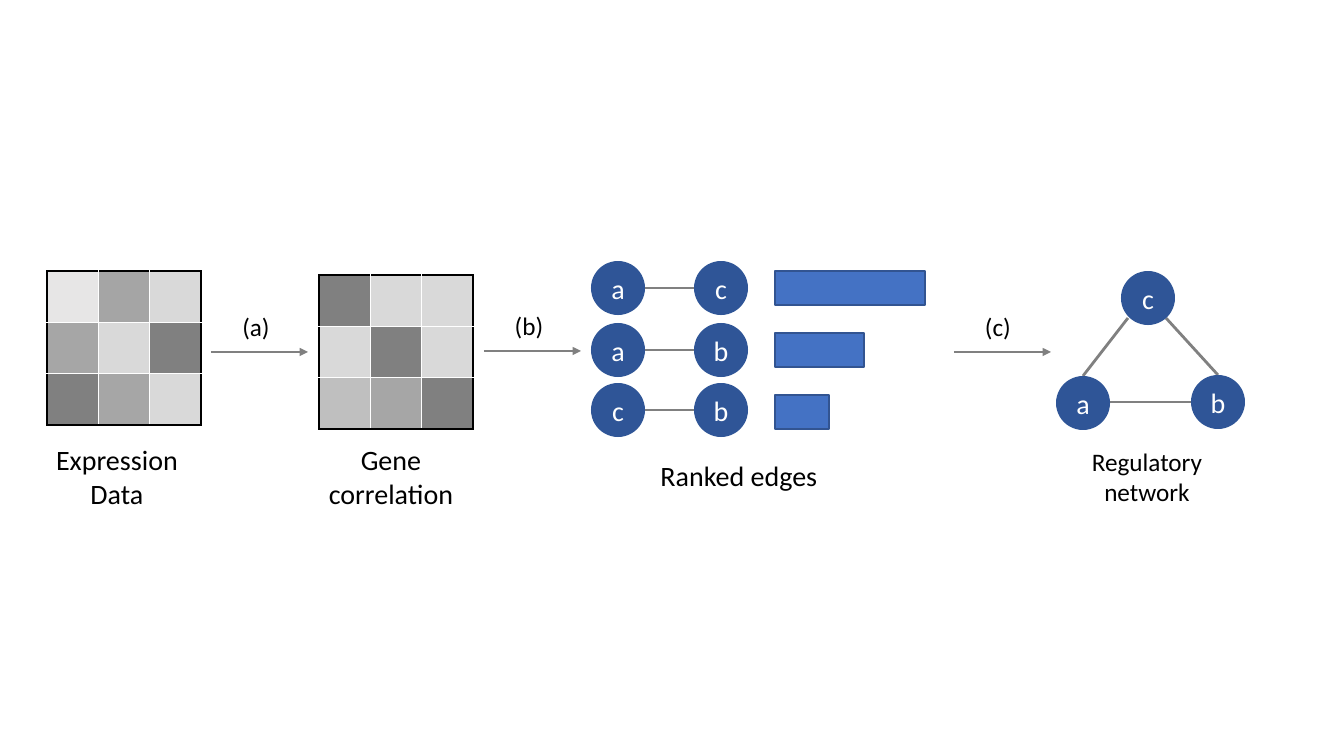
"""Builds a slide on the steps from expression data to a regulatory network."""
import dataclasses

import pptx
import pptx.dml.color
import pptx.enum.shapes
import pptx.enum.text
import pptx.oxml
import pptx.oxml.ns
import pptx.util

SCALE = 914400 / 100.8
NS = pptx.oxml.ns.nsdecls("a")
SHAPE = pptx.enum.shapes.MSO_SHAPE


def px(n):
    return pptx.util.Emu(round(n * SCALE))


def rgb(color):
    return pptx.dml.color.RGBColor.from_string(color)


@dataclasses.dataclass(frozen=True)
class Theme:
    font: str = "Calibri"
    large: int = 20
    small: int = 18
    text: str = "000000"
    light: str = "FFFFFF"
    node: str = "2F5597"
    bar: str = "4472C4"
    bar_line: str = "325491"
    edge: str = "808080"


class Sketch:
    def __init__(self, slide, theme):
        self.s = slide
        self.theme = theme

    def add_text(self, tf, lines, size, color):
        tf.word_wrap = True
        tf.margin_left = tf.margin_right = 0
        for i, line in enumerate(lines):
            p = tf.add_paragraph() if i else tf.paragraphs[0]
            p.alignment = pptx.enum.text.PP_ALIGN.CENTER
            r = p.add_run()
            r.text = line
            r.font.name = self.theme.font
            r.font.size = pptx.util.Pt(size)
            r.font.color.rgb = rgb(color)

    def label(self, x, y, w, h, lines, size):
        sp = self.s.shapes.add_textbox(px(x), px(y), px(w), px(h))
        self.add_text(sp.text_frame, lines, size, self.theme.text)

    def shape(self, kind, x, y, w, h, fill):
        sp = self.s.shapes.add_shape(kind, px(x), px(y), px(w), px(h))
        sp.shadow.inherit = False
        sp.fill.solid()
        sp.fill.fore_color.rgb = rgb(fill)
        return sp

    def node(self, x, y, name):
        sp = self.shape(SHAPE.OVAL, x, y, NODE, NODE, self.theme.node)
        sp.line.fill.background()
        sp.text_frame.vertical_anchor = pptx.enum.text.MSO_ANCHOR.MIDDLE
        self.add_text(sp.text_frame, [name], self.theme.large, self.theme.light)

    def bar(self, x, y, w, h):
        sp = self.shape(SHAPE.RECTANGLE, x, y, w, h, self.theme.bar)
        sp.line.color.rgb = rgb(self.theme.bar_line)
        sp.line.width = pptx.util.Pt(1)

    def edge(self, x1, y1, x2, y2, arrow=False):
        kind = pptx.enum.shapes.MSO_CONNECTOR.STRAIGHT
        sp = self.s.shapes.add_connector(kind, px(x1), px(y1), px(x2), px(y2))
        sp.line.color.rgb = rgb(self.theme.edge)
        sp.line.width = pptx.util.Pt(2)
        if arrow:
            tail = pptx.oxml.parse_xml(f'<a:tailEnd {NS} type="triangle"/>')
            sp.line._get_or_add_ln().append(tail)
        sp._element.spPr.append(pptx.oxml.parse_xml(f"<a:effectLst {NS}/>"))

    def matrix(self, x, y, side, fills):
        n = len(fills)
        tbl = self.s.shapes.add_table(n, n, px(x), px(y), px(side), px(side)).table
        tbl.first_row = tbl.horz_banding = False
        for i, row in enumerate(fills):
            for j, fill in enumerate(row):
                cell = tbl.cell(i, j)
                outer = {"L": j == 0, "R": j == n - 1, "T": i == 0, "B": i == n - 1}
                for border, is_outer in outer.items():
                    color = self.theme.text if is_outer else self.theme.light
                    cell._tc.get_or_add_tcPr().append(pptx.oxml.parse_xml(
                        f'<a:ln{border} {NS} w="12700"><a:solidFill>'
                        f'<a:srgbClr val="{color}"/></a:solidFill></a:ln{border}>'))
                cell.fill.solid()
                cell.fill.fore_color.rgb = rgb(fill)


NODE = 54
MATRIX = 154
EXPRESSION = [["E7E6E6", "A5A5A5", "D9D9D9"],
              ["A6A6A6", "D9D9D9", "808080"],
              ["808080", "A6A6A6", "D9D9D9"]]
CORRELATION = [["808080", "D9D9D9", "D9D9D9"],
               ["D9D9D9", "808080", "D9D9D9"],
               ["BFBFBF", "A6A6A6", "808080"]]
STEPS = [("(a)", 211, 352, 256), ("(b)", 484, 351, 529), ("(c)", 954, 352, 998)]
RANKED = [("a", "c", 261, 150), ("a", "b", 323, 89), ("c", "b", 383, 54)]
NETWORK_NODES = [("a", 1056, 376), ("c", 1121, 271), ("b", 1191, 375)]
NETWORK_EDGES = [(1083, 376, 1128, 318), (1166, 318, 1218, 375),
                 (1110, 402, 1191, 402)]

prs = pptx.Presentation()
prs.slide_width, prs.slide_height = px(1344), px(756)
theme = Theme()
sketch = Sketch(prs.slides.add_slide(prs.slide_layouts[6]), theme)

sketch.matrix(47, 271, MATRIX, EXPRESSION)
sketch.matrix(319, 275, MATRIX, CORRELATION)

for name, x, y, center in STEPS:
    sketch.edge(x, y, x + 97, y, arrow=True)
    sketch.label(center - 25, y - 46, 50, 40, [name], theme.small)

for i, (first, second, y, width) in enumerate(RANKED):
    sketch.node(591, y, first)
    sketch.node(694, y, second)
    sketch.edge(591 + NODE, y + NODE // 2, 694, y + NODE // 2)
    sketch.bar(775, 271 + 62 * i, width, 34)

for edge in NETWORK_EDGES:
    sketch.edge(*edge)
for name, x, y in NETWORK_NODES:
    sketch.node(x, y, name)

sketch.label(42, 438, 150, 78, ["Expression", "Data"], theme.large)
sketch.label(316, 438, 150, 78, ["Gene correlation"], theme.large)
sketch.label(637, 454, 204, 44, ["Ranked edges"], theme.large)
sketch.label(1072, 441, 150, 72, ["Regulatory", "network"], theme.small)

prs.save("out.pptx")
